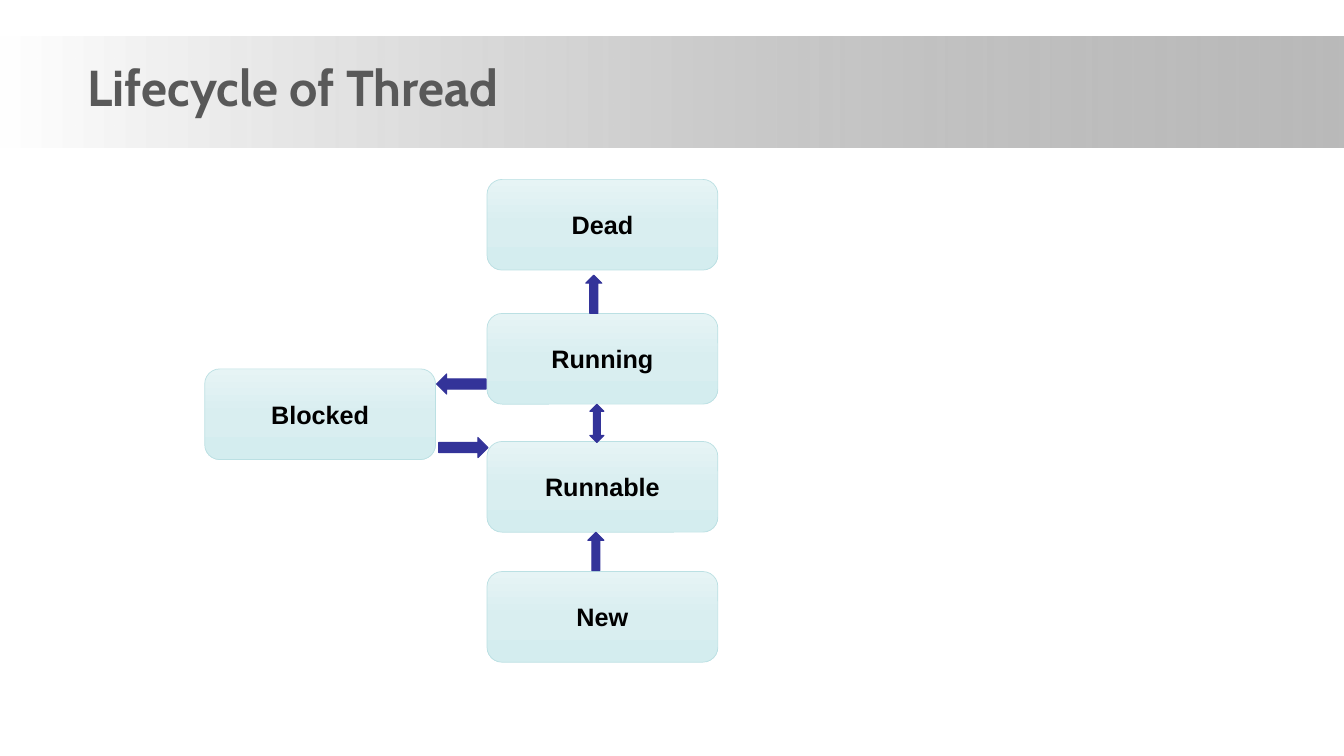
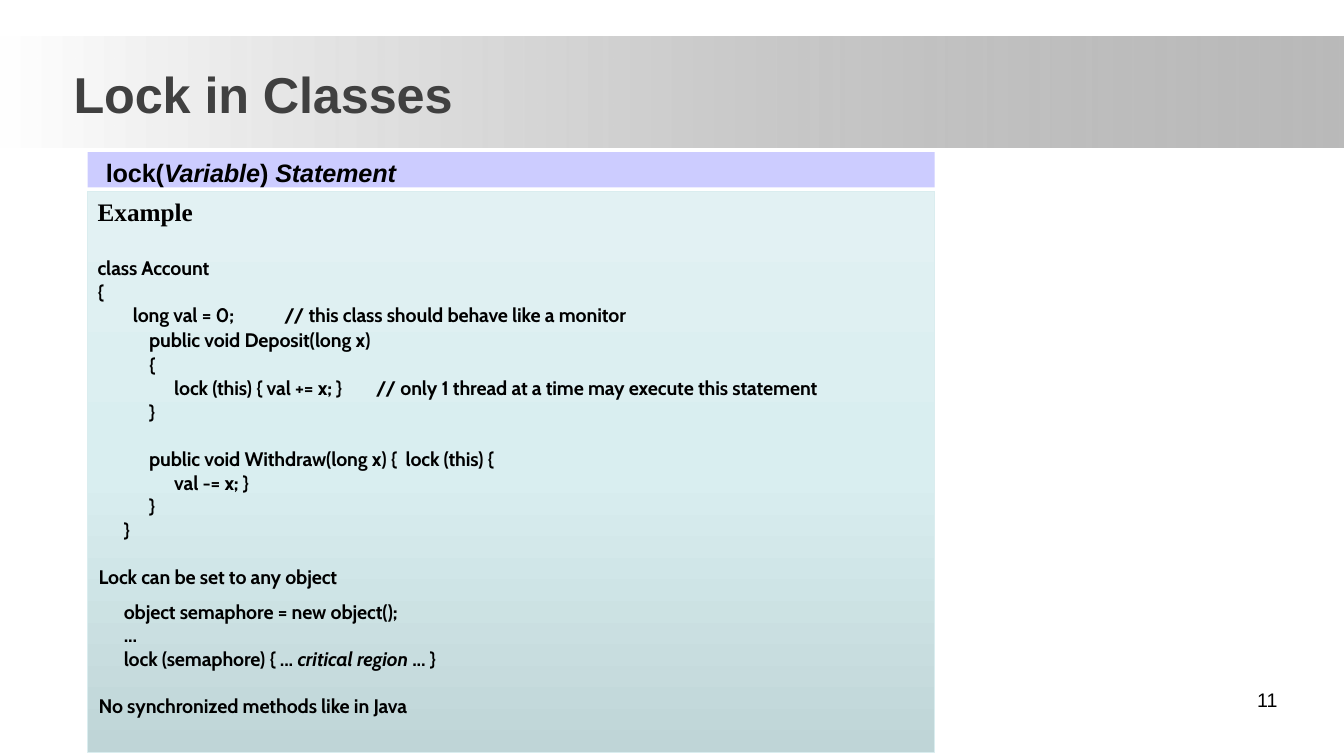
from dataclasses import dataclass

from lxml.etree import SubElement
from pptx import Presentation
from pptx.dml.color import RGBColor
from pptx.enum.shapes import MSO_SHAPE
from pptx.enum.text import MSO_ANCHOR, PP_ALIGN
from pptx.oxml.ns import qn
from pptx.util import Pt

PX = 9144  # EMU per px, 100 px to the inch


@dataclass(frozen=True)
class Theme:
    black: str = "000000"
    arrow: str = "333399"
    syntax_bar: str = "CCCCFF"
    band: tuple = (("FFFFFF", 100), ("808080", 54))
    state: tuple = (("E6F4F5", 100), ("D9EEF0", 100), ("D4EDEF", 100))
    state_line: str = "BBE0E3"
    panel: tuple = (("E2F1F3", 100), ("D9EEF0", 100), ("BFD5D7", 100))
    panel_line: str = "DAEDEF"
    sans: str = "Arial"
    code: str = "Cabin"
    serif: str = "Times New Roman"
    title_size: int = 36
    head_size: int = 18
    code_size: int = 14


T = Theme()

SLIDE_W, SLIDE_H = 1333, 750
BAND = (0, 36, SLIDE_W, 110)

# Lifecycle diagram
STATE_W, STATE_H = 229, 90
MAIN_X, SIDE_X = 483, 203
STATES = [
    ("Dead", MAIN_X, 178),
    ("Blocked", SIDE_X, 366),
    ("Running", MAIN_X, 311),
    ("Runnable", MAIN_X, 438),
    ("New", MAIN_X, 567),
]
ARROWS = [
    (MSO_SHAPE.UP_ARROW, (581, 273, 16, 38)),
    (MSO_SHAPE.UP_ARROW, (583, 528, 16, 38)),
    (MSO_SHAPE.UP_DOWN_ARROW, (585, 401, 14, 38)),
    (MSO_SHAPE.LEFT_ARROW, (433, 371, 49, 20)),
    (MSO_SHAPE.RIGHT_ARROW, (435, 434, 49, 20)),
]

# Lock slide: a paragraph is (runs, format); a run is (text, italic)
SYNTAX = [("lock(", False), ("Variable", True), (") ", False), ("Statement", True)]
BLOCK_GAP = 17
CODE = [
    ("class Account", dict(before=21)),
    ("{", {}),
    ("long val = 0;\t// this class should behave like a monitor",
     dict(indent=35, tab=237)),
    ("public void Deposit(long x)", dict(indent=51, before=0.9)),
    ("{", dict(indent=51, before=0.9)),
    ("lock (this) { val += x; }\t// only 1 thread at a time may execute this statement",
     dict(indent=76, tab=276)),
    ("}", dict(indent=51)),
    ("public void Withdraw(long x) {  lock (this) {", dict(indent=51, before=BLOCK_GAP)),
    ("val -= x; }", dict(indent=76)),
    ("}", dict(indent=51)),
    ("}", dict(indent=26)),
    ("Lock can be set to any object", dict(indent=1, before=BLOCK_GAP)),
    ("object semaphore = new object();", dict(indent=26, before=7.8)),
    ("...", dict(indent=26)),
    ([("lock (semaphore) { ... ", False), ("critical region ", True), ("... }", False)],
     dict(indent=26)),
    ("No synchronized methods like in Java", dict(indent=1, before=BLOCK_GAP)),
]


def emu(box):
    return [v * PX for v in box]


def rgb(color):
    return RGBColor.from_string(color)


def set_gradient(sp, stops, angle):
    """Fill with evenly spaced (colour, opacity percent) stops."""
    sp.fill.gradient()
    grad = sp._element.spPr.find(qn("a:gradFill"))
    stop_list = grad.find(qn("a:gsLst"))
    for old in list(stop_list):
        stop_list.remove(old)
    for i, (color, opacity) in enumerate(stops):
        gs = SubElement(stop_list, qn("a:gs"), pos=str(100000 * i // (len(stops) - 1)))
        clr = SubElement(gs, qn("a:srgbClr"), val=color)
        if opacity < 100:
            SubElement(clr, qn("a:alpha"), val=str(opacity * 1000))
    grad.find(qn("a:lin")).set("ang", str(angle * 60000))


def add_shape(s, kind, box, fill, line=None, line_width=0.5, angle=90):
    """Fill is a colour, or a tuple of gradient stops."""
    sp = s.shapes.add_shape(kind, *emu(box))
    sp.shadow.inherit = False
    if isinstance(fill, str):
        sp.fill.solid()
        sp.fill.fore_color.rgb = rgb(fill)
    else:
        set_gradient(sp, fill, angle)
    if line:
        sp.line.color.rgb = rgb(line)
        sp.line.width = Pt(line_width)
    else:
        sp.line.fill.background()
    return sp


def set_frame(sp, insets=(10, 5, 10, 5), anchor=MSO_ANCHOR.TOP, wrap=True):
    tf = sp.text_frame
    tf.word_wrap, tf.vertical_anchor = wrap, anchor
    tf.margin_left, tf.margin_top, tf.margin_right, tf.margin_bottom = emu(insets)
    return tf


def write(tf, runs, size=T.head_size, font=T.sans, color=T.black, bold=True,
          align=PP_ALIGN.LEFT, indent=0, before=0, tab=None, line=None, tracking=0):
    """Add one paragraph, using the empty first one if there is one."""
    p = tf.paragraphs[0] if not tf.text else tf.add_paragraph()
    p.alignment, p.space_before = align, Pt(before)
    if line:
        p.line_spacing = Pt(line)
    pPr = p._p.get_or_add_pPr()
    pPr.set("marL", str(indent * PX))
    pPr.set("indent", "0")
    if tab:
        tabs = SubElement(pPr, qn("a:tabLst"))
        SubElement(tabs, qn("a:tab"), pos=str(tab * PX), algn="l")
    for text, italic in [(runs, False)] if isinstance(runs, str) else runs:
        r = p.add_run()
        r.text = text
        r.font.name, r.font.size = font, Pt(size)
        r.font.bold, r.font.italic = bold, italic
        r.font.color.rgb = rgb(color)
        if tracking:
            r._r.get_or_add_rPr().set("spc", str(round(tracking * 100)))


def add_text(s, box, text, insets=(10, 5, 10, 5), **fmt):
    sp = s.shapes.add_textbox(*emu(box))
    write(set_frame(sp, insets), text, **fmt)


def add_slide(prs, title, box, insets, **fmt):
    """Blank slide with the grey band and its title."""
    s = prs.slides.add_slide(prs.slide_layouts[6])
    add_shape(s, MSO_SHAPE.RECTANGLE, BAND, T.band, angle=0)
    add_text(s, box, title, insets, size=T.title_size, indent=1, **fmt)
    return s


def lifecycle_slide(prs):
    s = add_slide(prs, "Lifecycle of Thread", (76, 51, 628, 71), (10, 5, 10, 5),
                  font=T.code, color="595959")
    for name, x, y in STATES:
        sp = add_shape(s, MSO_SHAPE.ROUNDED_RECTANGLE, (x, y, STATE_W, STATE_H),
                       T.state, T.state_line)
        tf = set_frame(sp, anchor=MSO_ANCHOR.MIDDLE, wrap=False)
        write(tf, name, align=PP_ALIGN.CENTER)
    for kind, box in ARROWS:
        add_shape(s, kind, box, T.arrow, T.arrow, 0.75)


def lock_slide(prs):
    s = add_slide(prs, "Lock in Classes", (72, 62, 488, 62), (0, 1, 0, 0),
                  color="404040", before=1, tracking=-0.1)
    add_text(s, (956, 683, 311, 52), "11", (0, 0, 0, 0), size=T.code_size,
             bold=False, align=PP_ALIGN.RIGHT, line=16.2, tracking=-0.1)
    bar = add_shape(s, MSO_SHAPE.RECTANGLE, (87, 151, 840, 35), T.syntax_bar)
    write(set_frame(bar, (0, 5, 0, 0)), SYNTAX, indent=18, before=3.6, tracking=-0.1)
    panel = add_shape(s, MSO_SHAPE.RECTANGLE, (87, 190, 840, 556), T.panel, T.panel_line)
    tf = set_frame(panel)
    write(tf, "Example", font=T.serif)
    for runs, fmt in CODE:
        write(tf, runs, size=T.code_size, font=T.code, tracking=-0.1, **fmt)


def main():
    prs = Presentation()
    prs.slide_width, prs.slide_height = emu((SLIDE_W, SLIDE_H))
    lifecycle_slide(prs)
    lock_slide(prs)
    prs.save("out.pptx")


if __name__ == "__main__":
    main()
